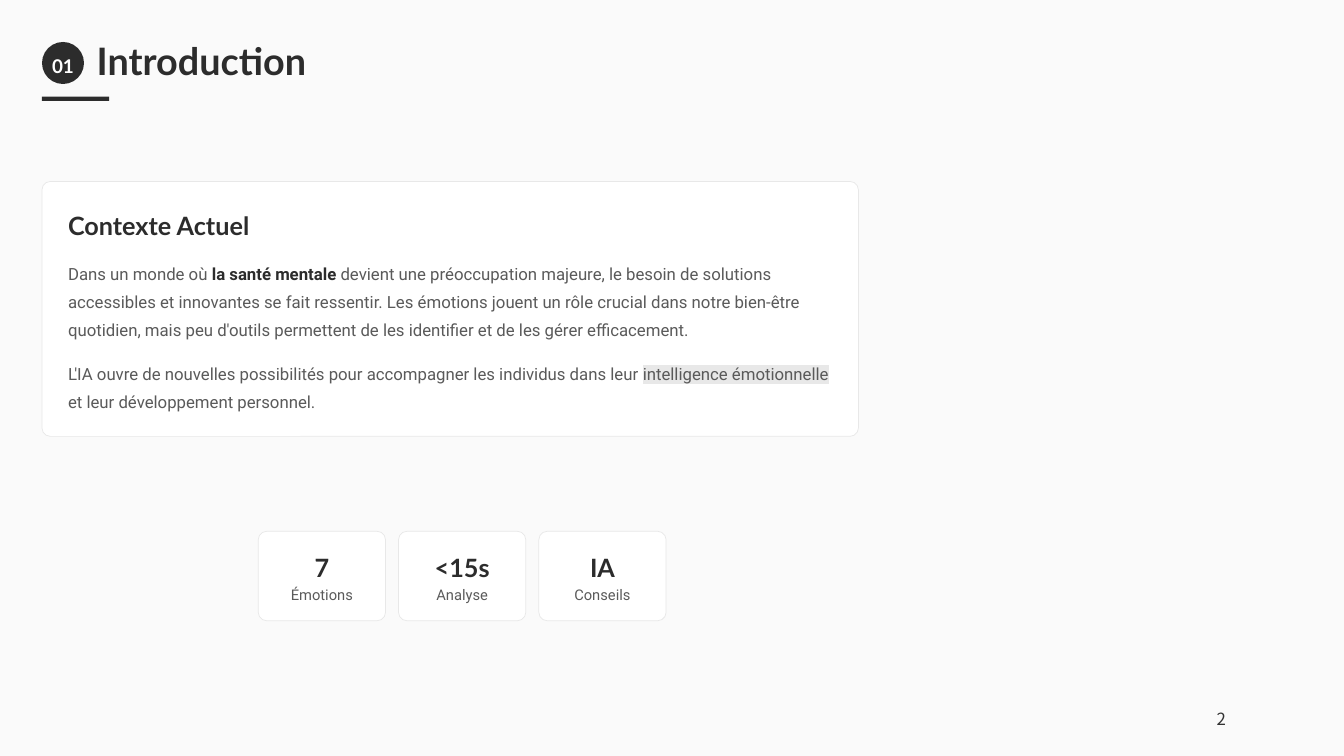
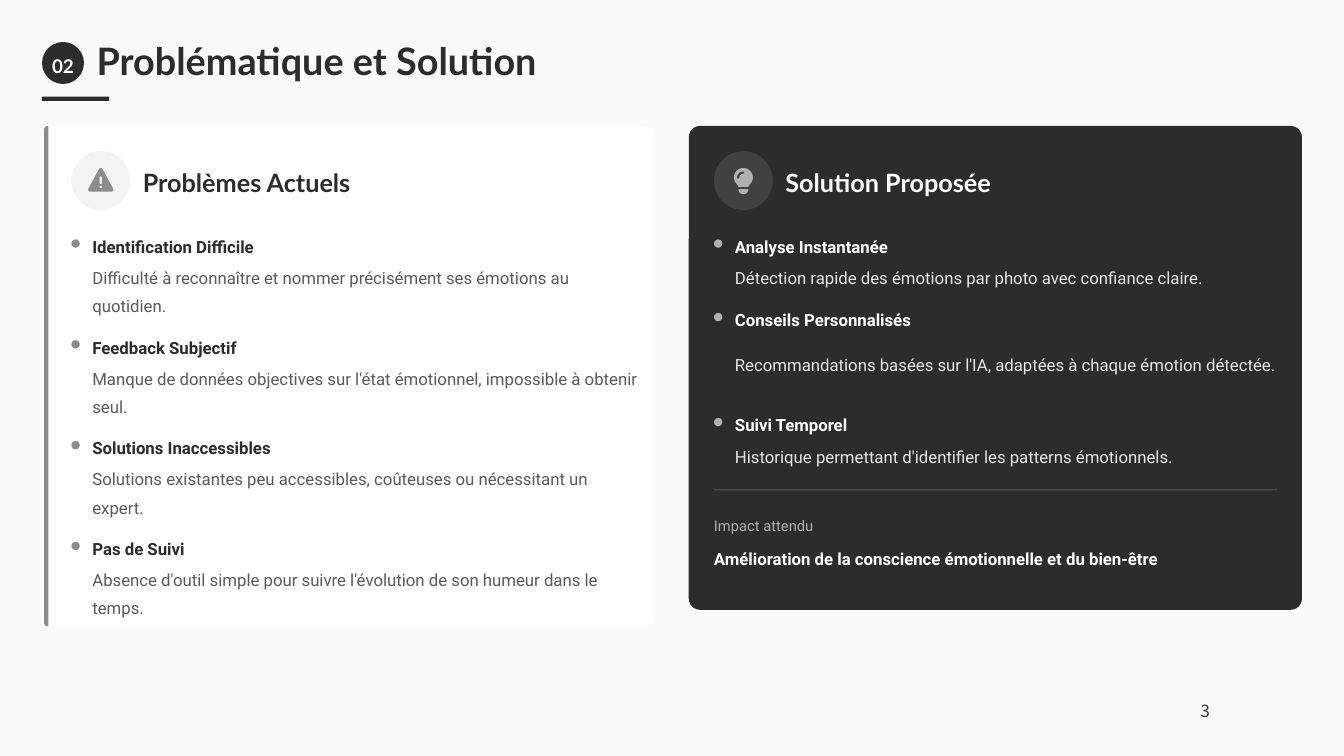
import pptx
import pptx.util
import pptx.dml.color
import pptx.enum.shapes
import pptx.enum.text
import pptx.oxml.ns
import pptx.oxml.xmlchemy

RGB = pptx.dml.color.RGBColor
SHAPES = pptx.enum.shapes.MSO_SHAPE
ALIGN = pptx.enum.text.PP_ALIGN

PAPER = RGB(0xFA, 0xFA, 0xFA)
WHITE = RGB(0xFF, 0xFF, 0xFF)
INK = RGB(0x2C, 0x2C, 0x2C)
BODY = RGB(0x5A, 0x5A, 0x5A)
GREY = RGB(0x8B, 0x8B, 0x8B)
SILVER = RGB(0xB0, 0xB0, 0xB0)
MIST = RGB(0xE8, 0xE8, 0xE8)
FOLIO = RGB(0x33, 0x33, 0x33)

# The slide is a grid of 320 columns and 180 rows, 18 to the inch
CELL = pptx.util.Inches(1) // 18
COLUMNS, ROWS = 320, 180

# Text styles: font values, and the line spacing of the paragraph
STYLES = {
    "title": ({"name": "Lato", "size": 36, "bold": True}, 0.9),
    "badge": ({"name": "Lato", "size": 18, "bold": True}, 1.3),
    "heading": ({"name": "Lato", "size": 24, "bold": True}, 1.1),
    "strong": ({"name": "Roboto", "size": 16, "bold": True}, 1.3),
    "body": ({"name": "Roboto", "size": 16, "bold": False}, 1.4),
    "small": ({"name": "Roboto", "size": 14, "bold": False}, 1.2),
    "folio": ({"name": "Noto Sans CJK SC", "size": 16, "bold": False}, None),
}

# Outlines: pairs are straight steps, sixes are Bezier curves; icons are 512 units high
ICON_SCALE = 6 * CELL / 512
WARNING = [
    [(256, 0), (271, 0, 284, 8, 291, 21), (507, 421), (514, 433, 514, 449, 506, 461),
     (499, 473, 486, 480, 472, 480), (40, 480), (26, 480, 13, 473, 6, 461),
     (-2, 449, -2, 433, 5, 421), (221, 21), (228, 8, 241, 0, 256, 0)],
    [(256, 168), (243, 168, 232, 179, 232, 192), (232, 304), (232, 317, 243, 328, 256, 328),
     (269, 328, 280, 317, 280, 304), (280, 192), (280, 179, 269, 168, 256, 168)],
    [(284, 384), (284, 399, 271, 412, 256, 412), (241, 412, 228, 399, 228, 384),
     (228, 369, 241, 356, 256, 356), (271, 356, 284, 369, 284, 384)],
]
BULB = [
    [(294, 384), (300, 360, 314, 341, 330, 322), (364, 288, 384, 242, 384, 192),
     (384, 86, 298, 0, 192, 0), (86, 0, 0, 86, 0, 192), (0, 242, 20, 288, 54, 322),
     (70, 341, 84, 360, 90, 384)],
    [(288, 432), (96, 432), (96, 448), (96, 492, 132, 528, 176, 528), (208, 528),
     (252, 528, 288, 492, 288, 448)],
    [(184, 120), (144, 120, 112, 152, 112, 192), (112, 205, 101, 216, 88, 216),
     (75, 216, 64, 205, 64, 192), (64, 125, 118, 72, 184, 72),
     (197, 72, 208, 83, 208, 96), (208, 109, 197, 120, 184, 120)],
]
# Card with its left accent, in hundredths of a cell
ACCENT_EDGE = [(100, 11915), (45, 11915, 0, 11875, 0, 11825), (0, 90), (0, 40, 45, 0, 100, 0)]
ACCENT = [[(100, 0)] + ACCENT_EDGE]
ACCENT_CARD = [[(100, 0), (14250, 0), (14400, 0, 14550, 110, 14550, 250), (14550, 11665),
                (14550, 11805, 14400, 11915, 14250, 11915)] + ACCENT_EDGE]


def element(tag, value=None):
    """Make an XML element, with a val attribute if one is given."""
    made = pptx.oxml.xmlchemy.OxmlElement(tag)
    if value is not None:
        made.set("val", str(value))
    return made


def trace(contour, steps=10):
    """Turn lines and Bezier curves into a list of points."""
    points = [contour[0]]
    for step in contour[1:]:
        if len(step) == 2:
            points.append(step)
            continue
        start = points[-1]
        for i in range(1, steps + 1):
            t = i / steps
            points.append(tuple(
                (1 - t) ** 3 * start[a] + 3 * t * (1 - t) ** 2 * step[a]
                + 3 * t * t * (1 - t) * step[2 + a] + t ** 3 * step[4 + a] for a in (0, 1)))
    return points


class Deck:
    def __init__(self):
        self.prs = pptx.Presentation()
        self.prs.slide_width = COLUMNS * CELL
        self.prs.slide_height = ROWS * CELL
        self.slide = None

    def cells(self, *lengths):
        return [pptx.util.Emu(round(length * CELL)) for length in lengths]

    def new_slide(self, number, title, title_width, page, page_at):
        """Start a slide with its badge, title, underline and page number."""
        self.slide = self.prs.slides.add_slide(self.prs.slide_layouts[6])
        self.slide.background.fill.solid()
        self.slide.background.fill.fore_color.rgb = PAPER
        self.shape(SHAPES.OVAL, (10, 10, 10, 10), INK)
        self.text((8.85, 10, 12.3, 10), number, "badge", WHITE, ALIGN.CENTER)
        self.text((23, 10, title_width, 10), title, "title", INK)
        self.shape(SHAPES.RECTANGLE, (10, 23, 16, 1), INK)
        folio = self.text((*page_at, 34, 4.7), page, "folio", FOLIO, ALIGN.CENTER)
        folio.auto_size = pptx.enum.text.MSO_AUTO_SIZE.SHAPE_TO_FIT_TEXT

    def paint(self, shape, color, opacity=None, line=None):
        shape.shadow.inherit = False
        shape.fill.solid()
        shape.fill.fore_color.rgb = color
        if opacity is not None:
            solid = shape._element.spPr.find(pptx.oxml.ns.qn("a:solidFill"))
            solid[0].append(element("a:alpha", opacity * 1000))
        if line is None:
            shape.line.fill.background()
        else:
            shape.line.color.rgb = line
            shape.line.width = pptx.util.Pt(0.67)

    def shape(self, kind, box, color, opacity=None, line=None, radius=None):
        shape = self.slide.shapes.add_shape(kind, *self.cells(*box))
        if radius is not None:
            shape.adjustments[0] = radius / min(box[2:])
        self.paint(shape, color, opacity, line)

    def card(self, box, color=WHITE, line=MIST, radius=2):
        self.shape(SHAPES.ROUNDED_RECTANGLE, box, color, line=line, radius=radius)

    def outline(self, contours, left, top, color, scale):
        first, *others = [trace(contour) for contour in contours]
        builder = self.slide.shapes.build_freeform(*map(round, first[0]), scale=scale)
        builder.add_line_segments(first[1:], close=True)
        for points in others:
            builder.move_to(*map(round, points[0]))
            builder.add_line_segments(points[1:], close=True)
        self.paint(builder.convert_to_shape(*self.cells(left, top)), color)

    def text(self, box, runs, style, color, align=ALIGN.LEFT):
        """Runs are a string, or (words, changes) pairs with bold, color or highlight."""
        font_values, spacing = STYLES[style]
        frame = self.slide.shapes.add_textbox(*self.cells(*box)).text_frame
        frame.word_wrap = True
        if style != "folio":
            frame.vertical_anchor = pptx.enum.text.MSO_ANCHOR.MIDDLE
            for side in ("left", "top", "right", "bottom"):
                setattr(frame, "margin_" + side, 0)
        paragraph = frame.paragraphs[0]
        paragraph.alignment = align
        paragraph.line_spacing = spacing
        for words, changes in [(runs, {})] if isinstance(runs, str) else runs:
            run = paragraph.add_run()
            run.text = words
            values = {**font_values, "bold": changes.get("bold", font_values["bold"])}
            values["size"] = pptx.util.Pt(values["size"])
            for key, value in values.items():
                setattr(run.font, key, value)
            run.font.color.rgb = changes.get("color", color)
            if "highlight" in changes:
                mark = element("a:highlight")
                mark.append(element("a:srgbClr", changes["highlight"]))
                run.font._element.find(pptx.oxml.ns.qn("a:solidFill")).addnext(mark)
        return frame

    def stat(self, left, top, value, label):
        self.card((left, top, 30.3, 21.3))
        self.text((left + 2.65, top + 4.15, 25, 8), value, "heading", INK, ALIGN.CENTER)
        self.text((left + 3.25, top + 12.1, 23.8, 5), label, "small", BODY, ALIGN.CENTER)

    def panel_heading(self, left, words, color, width, disc, icon, icon_left, icon_color):
        self.shape(SHAPES.OVAL, (left, 36, 14, 14), disc, opacity=10)
        self.outline(icon, icon_left, 40, icon_color, ICON_SCALE)
        self.text((left + 17, 39, width, 8), words, "heading", color)

    def point(self, left, top, width, rows, name, detail, colors):
        dot, name_color, detail_color = colors
        self.shape(SHAPES.OVAL, (left, top + 2, 2, 2), dot)
        self.text((left + 5, top, width, 6), name, "strong", name_color)
        self.text((left + 5, top + 7, width, rows), detail, "body", detail_color)


def introduction(deck):
    deck.new_slide("01", "Introduction", 53.3, "2", (273.8, 167.8))

    # Context card
    deck.card((10, 43.2, 194.4, 60.7))
    deck.text((16.2, 49.3, 185.2, 8), "Contexte Actuel", "heading", INK)
    deck.text((16.2, 61.2, 184.3, 19.4), [
        ("Dans un monde où ", {}),
        ("la santé mentale", {"bold": True, "color": INK}),
        (" devient une préoccupation majeure, le besoin de solutions accessibles et "
         "innovantes se fait ressentir. Les émotions jouent un rôle crucial dans notre "
         "bien-être quotidien, mais peu d'outils permettent de les identifier et de les "
         "gérer efficacement.", {}),
    ], "body", BODY)
    deck.text((16.2, 84.8, 184.3, 13), [
        ("L'IA ouvre de nouvelles possibilités pour accompagner les individus dans leur ", {}),
        ("intelligence émotionnelle ", {"highlight": MIST}),
        ("et leur développement personnel.", {}),
    ], "body", BODY)

    # Key figures
    figures = [("7", "Émotions"), ("<15s", "Analyse"), ("IA", "Conseils")]
    for i, (value, label) in enumerate(figures):
        deck.stat(61.5 + 33.4 * i, 126.5, value, label)


def problem_and_solution(deck):
    deck.new_slide("02", "Problématique et Solution", 107.3, "3", (270, 166))

    # Problems
    deck.outline(ACCENT_CARD, 10.5, 30, WHITE, CELL / 100)
    deck.outline(ACCENT, 10.5, 30, GREY, CELL / 100)
    deck.panel_heading(17, "Problèmes Actuels", INK, 52.8, GREY, WARNING, 21, GREY)
    problems = [
        ("Identification Difficile",
         "Difficulté à reconnaître et nommer précisément ses émotions au quotidien."),
        ("Feedback Subjectif",
         "Manque de données objectives sur l'état émotionnel, impossible à obtenir seul."),
        ("Solutions Inaccessibles",
         "Solutions existantes peu accessibles, coûteuses ou nécessitant un expert."),
        ("Pas de Suivi",
         "Absence d'outil simple pour suivre l'évolution de son humeur dans le temps."),
    ]
    for i, (name, detail) in enumerate(problems):
        deck.point(17, 55 + 24 * i, 130, 13, name, detail, (GREY, INK, BODY))

    # Solution
    deck.card((164, 30, 146, 115.2), INK, None, 2.7)
    deck.panel_heading(170, "Solution Proposée", WHITE, 51.3, WHITE, BULB, 174.75, SILVER)
    solutions = [
        (55, 118, 6.5, "Analyse Instantanée",
         "Détection rapide des émotions par photo avec confiance claire."),
        (72.5, 131, 13, "Conseils Personnalisés",
         "Recommandations basées sur l'IA, adaptées à chaque émotion détectée."),
        (97.5, 109.3, 6.5, "Suivi Temporel",
         "Historique permettant d'identifier les patterns émotionnels."),
    ]
    for top, width, rows, name, detail in solutions:
        deck.point(170, top, width, rows, name, detail, (SILVER, WHITE, MIST))

    # Expected impact
    deck.shape(SHAPES.RECTANGLE, (170, 116.5, 134, 0.25), WHITE, opacity=20)
    deck.text((170, 122.25, 135.7, 5), "Impact attendu", "small", SILVER)
    deck.text((170, 129.25, 136, 6),
              "Amélioration de la conscience émotionnelle et du bien-être", "strong", WHITE)


def main():
    deck = Deck()
    introduction(deck)
    problem_and_solution(deck)
    deck.prs.save("out.pptx")


if __name__ == "__main__":
    main()
